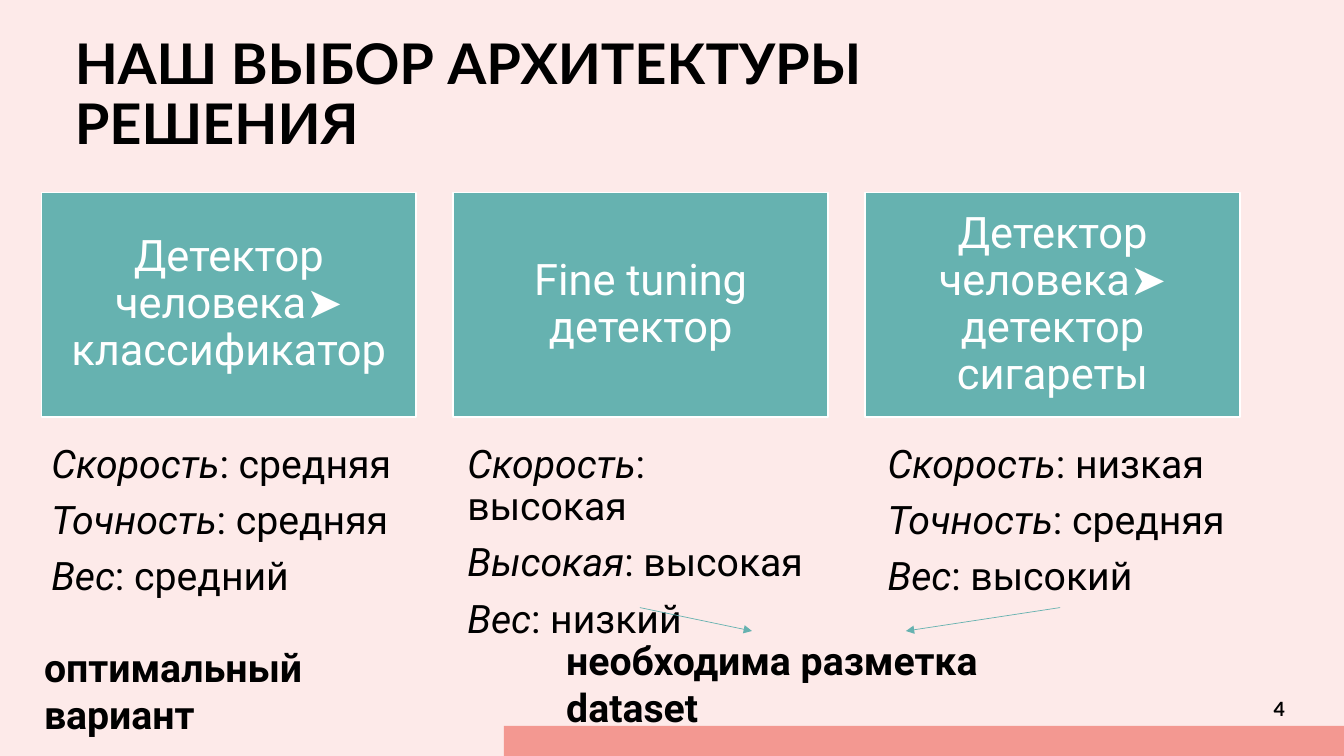
from dataclasses import dataclass

from lxml import etree
from pptx import Presentation
from pptx.dml.color import RGBColor
from pptx.enum.shapes import MSO_CONNECTOR, MSO_SHAPE
from pptx.enum.text import MSO_ANCHOR, MSO_AUTO_SIZE, PP_ALIGN
from pptx.oxml.ns import qn
from pptx.util import Cm, Pt

RECTANGLE = MSO_SHAPE.RECTANGLE
STRAIGHT = MSO_CONNECTOR.STRAIGHT
MIDDLE, TOP = MSO_ANCHOR.MIDDLE, MSO_ANCHOR.TOP
LEFT, CENTER = PP_ALIGN.LEFT, PP_ALIGN.CENTER
NO_AUTOFIT = MSO_AUTO_SIZE.NONE
BOTTOM_SITE = 2

HEADING = "НАШ ВЫБОР АРХИТЕКТУРЫ РЕШЕНИЯ"
PAGE_NUMBER = "4"
OPTIONS = [
    {
        "name": "Детектор человека➤ классификатор",
        "traits": [("Скорость", "средняя"), ("Точность", "средняя"), ("Вес", "средний")],
        "traits_left": 1.04,
    },
    {
        "name": "Fine tuning детектор",
        "traits": [("Скорость", "высокая"), ("Высокая", "высокая"), ("Вес", "низкий")],
        "traits_left": 11.53,
        "arrow_end": 18.95,
    },
    {
        "name": "Детектор человека➤ детектор сигареты",
        "traits": [("Скорость", "низкая"), ("Точность", "средняя"), ("Вес", "высокий")],
        "traits_left": 22.12,
        "arrow_end": 22.83,
    },
]
VERDICTS = [
    ("необходима разметка dataset", (14.02, 15.9, 13.82, 1.45)),
    ("оптимальный вариант", (0.86, 16.08, 10.31, 1.45)),
]

CARD_LEFT, CARD_TOP, CARD_WIDTH, CARD_HEIGHT = 1.04, 4.85, 9.45, 5.66
CARD_PITCH = 10.38
TRAITS_TOP, TRAITS_WIDTH, TRAITS_HEIGHT = 11.07, 9.19, 4.24
ARROW_END_Y = 15.9


@dataclass(frozen=True)
class Theme:
    background: RGBColor = RGBColor(0xFD, 0xEA, 0xE9)
    bar: RGBColor = RGBColor(0xF3, 0x98, 0x91)
    teal: RGBColor = RGBColor(0x66, 0xB2, 0xB0)
    white: RGBColor = RGBColor(0xFF, 0xFF, 0xFF)
    black: RGBColor = RGBColor(0, 0, 0)
    heading_font: str = "Lato"
    text_font: str = "Roboto"
    heading_size: Pt = Pt(40)
    card_size: Pt = Pt(31)
    text_size: Pt = Pt(28)
    number_size: Pt = Pt(14)


THEME = Theme()
HEADING_FORMAT = {"name": THEME.heading_font, "size": THEME.heading_size, "bold": True}
NUMBER_FORMAT = {"name": THEME.heading_font, "size": THEME.number_size, "bold": True}
CARD_FORMAT = {"name": THEME.text_font, "size": THEME.card_size}
TRAIT_FORMAT = {"name": THEME.text_font, "size": THEME.text_size, "bold": False}
VERDICT_FORMAT = {"name": THEME.text_font, "size": THEME.text_size, "bold": True}


def set_all(target, values):
    for key, value in values.items():
        setattr(target, key, value)


def place(shape, box):
    set_all(shape, dict(zip(("left", "top", "width", "height"), map(Cm, box))))


def add_run(paragraph, text, font_format, color=THEME.black):
    run = paragraph.add_run()
    run.text = text
    set_all(run.font, font_format)
    run.font.color.rgb = color


def set_frame(shape, anchor=TOP):
    frame = shape.text_frame
    set_all(frame, {"word_wrap": True, "auto_size": NO_AUTOFIT, "vertical_anchor": anchor})
    return frame


def write(shape, text, font_format, anchor=TOP, color=THEME.black, **paragraph_format):
    paragraph = set_frame(shape, anchor).paragraphs[0]
    set_all(paragraph, paragraph_format)
    add_run(paragraph, text, font_format, color)


def add_block(shapes, box, fill, border=None):
    block = shapes.add_shape(RECTANGLE, *map(Cm, box))
    block.shadow.inherit = False
    block.fill.solid()
    block.fill.fore_color.rgb = fill
    if border is None:
        block.line.fill.background()
    else:
        block.line.color.rgb = border
        block.line.width = Pt(1)
    return block


def write_traits(shape, traits):
    frame = set_frame(shape)
    for index, (trait, value) in enumerate(traits):
        paragraph = frame.add_paragraph() if index else frame.paragraphs[0]
        properties = paragraph._p.get_or_add_pPr()
        set_all(paragraph, {
            "alignment": LEFT, "line_spacing": 0.9,
            "space_before": Pt(10 if index else 0), "space_after": Pt(0),
        })
        properties.set("marL", "0")
        properties.set("indent", "0")
        etree.SubElement(properties, qn("a:buNone"))
        add_run(paragraph, trait, {**TRAIT_FORMAT, "italic": True})
        add_run(paragraph, f": {value}", {**TRAIT_FORMAT, "italic": False})


def add_arrow(shapes, source, end_x):
    arrow = shapes.add_connector(STRAIGHT, 0, 0, Cm(end_x), Cm(ARROW_END_Y))
    arrow.begin_connect(source, BOTTOM_SITE)
    arrow.line.color.rgb = THEME.teal
    arrow.line.width = Pt(0.5)
    etree.SubElement(arrow.line._get_or_add_ln(), qn("a:tailEnd"), type="triangle")
    etree.SubElement(arrow._element.spPr, qn("a:effectLst"))


def main():
    presentation = Presentation()
    set_all(presentation, {"slide_width": Cm(33.87), "slide_height": Cm(19.05)})
    slide = presentation.slides.add_slide(presentation.slide_layouts[1])
    shapes = slide.shapes
    slide.background.fill.solid()
    slide.background.fill.fore_color.rgb = THEME.background

    heading, first_traits = shapes.title, slide.placeholders[1]
    place(heading, (1.63, -0.18, 27.41, 5.21))
    write(heading, HEADING, HEADING_FORMAT, MIDDLE, alignment=LEFT, line_spacing=0.9)

    add_block(shapes, (12.7, 18.29, 21.17, 0.76), THEME.bar)
    number = shapes.add_textbox(*map(Cm, (31.85, 17.35, 1.9, 1.02)))
    write(number, PAGE_NUMBER, NUMBER_FORMAT, MIDDLE)

    for index, option in enumerate(OPTIONS):
        card_left = CARD_LEFT + index * CARD_PITCH
        card = add_block(shapes, (card_left, CARD_TOP, CARD_WIDTH, CARD_HEIGHT),
                         THEME.teal, THEME.white)
        margins = ("margin_left", "margin_top", "margin_right", "margin_bottom")
        set_all(card.text_frame, dict.fromkeys(margins, Cm(0.33)))
        write(card, option["name"], CARD_FORMAT, MIDDLE, THEME.white,
              alignment=CENTER, line_spacing=0.9)

        traits = shapes.add_textbox(0, 0, 0, 0) if index else first_traits
        place(traits, (option["traits_left"], TRAITS_TOP, TRAITS_WIDTH, TRAITS_HEIGHT))
        write_traits(traits, option["traits"])
        if "arrow_end" in option:
            add_arrow(shapes, traits, option["arrow_end"])

    for verdict, box in VERDICTS:
        write(shapes.add_textbox(*map(Cm, box)), verdict, VERDICT_FORMAT)

    presentation.save("out.pptx")


if __name__ == "__main__":
    main()
